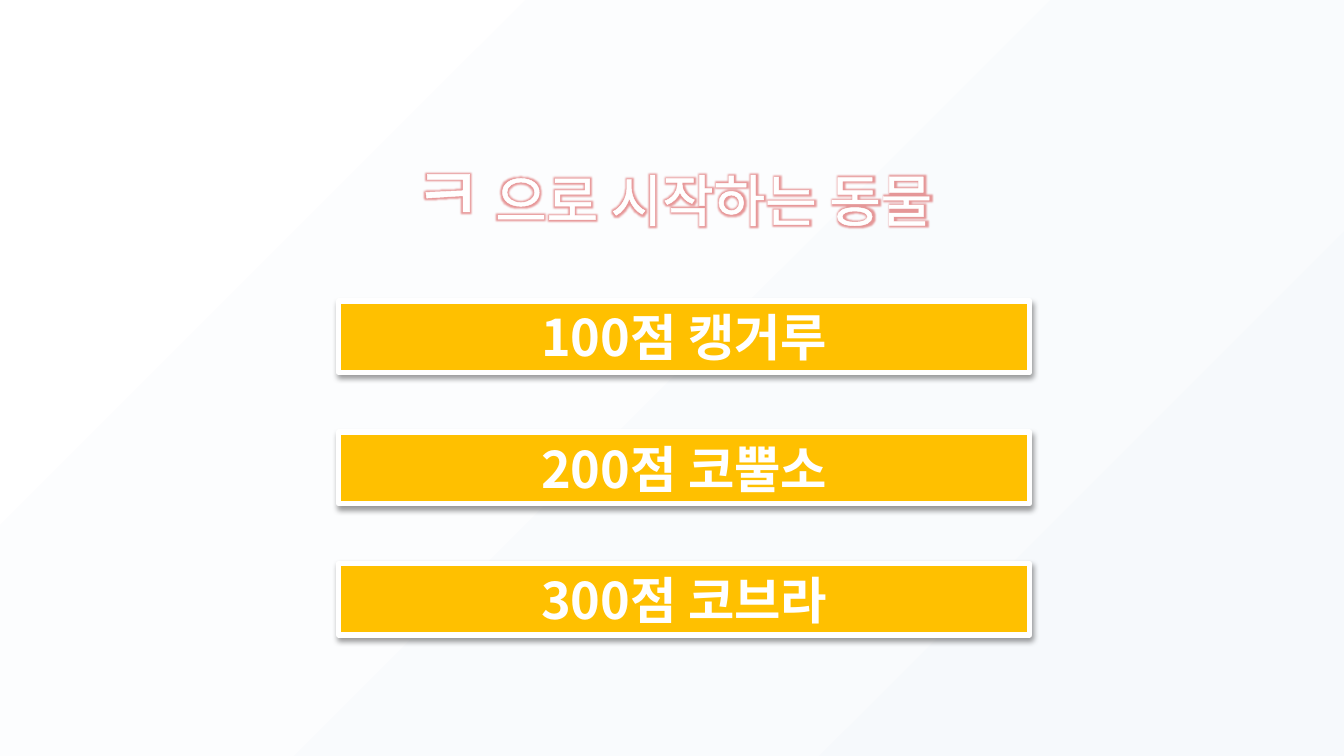
from dataclasses import dataclass

from lxml.etree import SubElement
from pptx import Presentation
from pptx.dml.color import RGBColor
from pptx.enum.shapes import MSO_SHAPE as Shape
from pptx.enum.text import MSO_ANCHOR as Anchor, MSO_AUTO_SIZE as AutoSize, PP_ALIGN as Align
from pptx.oxml import parse_xml
from pptx.oxml.ns import nsdecls, qn
from pptx.slide import Slide
from pptx.util import Cm, Pt


@dataclass(frozen=True)
class Theme:
    font: str = "Noto Sans CJK KR"
    white: str = "FFFFFF"
    pale: str = "F6F9FC"
    amber: str = "FFC000"
    glow: str = "C80000"
    shadow: str = "000000"
    letter_size: float = 40.5
    title_size: float = 30
    answer_size: float = 27


@dataclass(frozen=True)
class Answer:
    points: int
    animal: str


THEME = Theme()
ANSWERS = [Answer(100, "캥거루"), Answer(200, "코뿔소"), Answer(300, "코브라")]
FIRST_TOP, PITCH = 5.69, 2.48


def style_run(run, size: float, bold: bool = False) -> None:
    font = run.font
    font.name, font.size, font.bold = THEME.font, Pt(size), bold
    font.color.rgb = RGBColor.from_string(THEME.white)
    SubElement(font._element, qn("a:ea"), typeface=THEME.font)


def add_glow(run) -> None:
    properties = run.font._element
    properties.insert(0, parse_xml(
        f'<a:ln {nsdecls("a")} w="{Pt(1.45)}"><a:solidFill>'
        f'<a:srgbClr val="{THEME.white}"/></a:solidFill></a:ln>'))
    properties.find(qn("a:latin")).addprevious(parse_xml(
        f'<a:effectLst {nsdecls("a")}><a:glow rad="{Pt(5)}"><a:srgbClr val="{THEME.glow}">'
        '<a:alpha val="40000"/></a:srgbClr></a:glow></a:effectLst>'))


def add_shadow(bar) -> None:
    bar.shadow.inherit = False
    effects = bar._element.spPr.find(qn("a:effectLst"))
    effects.append(parse_xml(
        f'<a:outerShdw {nsdecls("a")} blurRad="{Pt(3.1)}" dist="{Pt(1.6)}" dir="5400000" '
        f'rotWithShape="0"><a:srgbClr val="{THEME.shadow}"><a:alpha val="38000"/>'
        '</a:srgbClr></a:outerShdw>'))


def paint_background(slide: Slide) -> None:
    fill = slide.background.fill
    fill.gradient()
    fill.gradient_angle = 135
    for stop, color in zip(fill.gradient_stops, (THEME.pale, THEME.white)):
        stop.color.rgb = RGBColor.from_string(color)


def add_title(slide: Slide, letter: str, rest: str) -> None:
    frame = slide.shapes.add_textbox(Cm(6.86), Cm(2.29), Cm(11.71), Cm(2.06)).text_frame
    frame.word_wrap = True
    frame.auto_size = AutoSize.SHAPE_TO_FIT_TEXT
    title = frame.paragraphs[0]
    title.alignment, title.line_spacing = Align.CENTER, 1.2
    for text, size in ((letter, THEME.letter_size), (rest, THEME.title_size)):
        run = title.add_run()
        run.text = text
        style_run(run, size)
        add_glow(run)


def add_answer(slide: Slide, answer: Answer, top: float) -> None:
    bar = slide.shapes.add_shape(Shape.RECTANGLE, Cm(6.4), Cm(top), Cm(13.06), Cm(1.35))
    bar.fill.solid()
    bar.fill.fore_color.rgb = RGBColor.from_string(THEME.amber)
    bar.line.color.rgb = RGBColor.from_string(THEME.white)
    bar.line.width = Pt(3)
    add_shadow(bar)
    frame = bar.text_frame
    frame.margin_left = frame.margin_right = Cm(0.2)
    frame.margin_top = frame.margin_bottom = Cm(0.1)
    frame.word_wrap, frame.vertical_anchor = True, Anchor.MIDDLE
    frame.text = f"{answer.points}점 {answer.animal}"
    frame.paragraphs[0].alignment = Align.CENTER
    style_run(frame.paragraphs[0].runs[0], THEME.answer_size, bold=True)


def main() -> None:
    deck = Presentation()
    deck.slide_width, deck.slide_height = Cm(25.4), Cm(14.29)
    slide = deck.slides.add_slide(deck.slide_layouts[6])
    paint_background(slide)

    # Question
    add_title(slide, "ㅋ", " 으로 시작하는 동물")

    # Answers, one bar for each score
    for row, answer in enumerate(ANSWERS):
        add_answer(slide, answer, FIRST_TOP + row * PITCH)

    deck.save("out.pptx")


if __name__ == "__main__":
    main()
